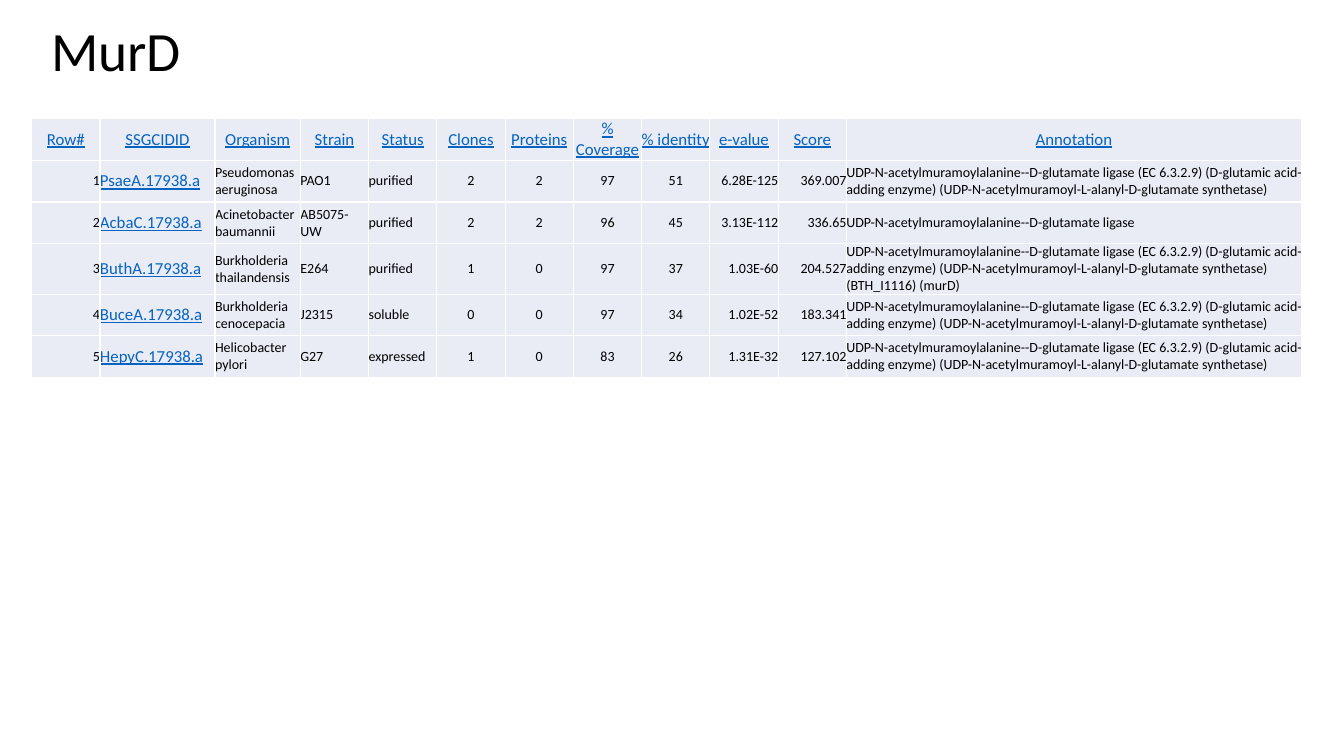
from dataclasses import dataclass

from lxml.etree import SubElement
from pptx import Presentation
from pptx.dml.color import RGBColor
from pptx.enum.text import MSO_ANCHOR, PP_ALIGN
from pptx.oxml.ns import qn
from pptx.util import Cm, Pt


@dataclass(frozen=True)
class Theme:
    font: str = "Calibri"
    text: str = "000000"
    link: str = "0563C1"
    cell_fill: str = "E9EBF5"
    border: str = "FFFFFF"
    title_size: float = 39.6
    link_size: int = 12
    body_size: int = 10
    border_width: int = 1


THEME = Theme()

LEFT, CENTER, RIGHT = PP_ALIGN.LEFT, PP_ALIGN.CENTER, PP_ALIGN.RIGHT
LINK_COLUMN = "SSGCIDID"
COLUMNS = [
    ("Row#", 1.72, RIGHT),
    (LINK_COLUMN, 2.9, LEFT),
    ("Organism", 2.15, LEFT),
    ("Strain", 1.72, LEFT),
    ("Status", 1.72, LEFT),
    ("Clones", 1.72, CENTER),
    ("Proteins", 1.72, CENTER),
    ("% Coverage", 1.72, CENTER),
    ("% identity", 1.72, CENTER),
    ("e-value", 1.72, RIGHT),
    ("Score", 1.72, RIGHT),
    ("Annotation", 11.47, LEFT),
]
ROW_HEIGHT = 1.05

LIGASE = "UDP-N-acetylmuramoylalanine--D-glutamate ligase"
LIGASE_SYNONYMS = (
    f"{LIGASE} (EC 6.3.2.9) (D-glutamic acid-adding enzyme) "
    "(UDP-N-acetylmuramoyl-L-alanyl-D-glutamate synthetase)"
)
TARGETS = [
    ("PsaeA.17938.a", "Pseudomonas aeruginosa", "PAO1", "purified",
     2, 2, 97, 51, "6.28E-125", 369.007, LIGASE_SYNONYMS),
    ("AcbaC.17938.a", "Acinetobacter baumannii", "AB5075-UW", "purified",
     2, 2, 96, 45, "3.13E-112", 336.65, LIGASE),
    ("ButhA.17938.a", "Burkholderia thailandensis", "E264", "purified",
     1, 0, 97, 37, "1.03E-60", 204.527, f"{LIGASE_SYNONYMS} (BTH_I1116) (murD)"),
    ("BuceA.17938.a", "Burkholderia cenocepacia", "J2315", "soluble",
     0, 0, 97, 34, "1.02E-52", 183.341, LIGASE_SYNONYMS),
    ("HepyC.17938.a", "Helicobacter pylori", "G27", "expressed",
     1, 0, 83, 26, "1.31E-32", 127.102, LIGASE_SYNONYMS),
]


def format_text(paragraph, size, color, underline=False):
    for run in paragraph.runs:
        run.font.name = THEME.font
        run.font.size = Pt(size)
        run.font.color.rgb = RGBColor.from_string(color)
        run.font.underline = underline


def add_title(slide, text):
    shape = slide.shapes.add_textbox(Cm(1.04), Cm(0.46), Cm(13.36), Cm(1.78))
    text_frame = shape.text_frame
    text_frame.word_wrap = True
    text_frame.vertical_anchor = MSO_ANCHOR.MIDDLE
    text_frame.text = text
    paragraph = text_frame.paragraphs[0]
    paragraph.line_spacing = 0.9
    format_text(paragraph, THEME.title_size, THEME.text)


def set_borders(cell):
    properties = cell._tc.get_or_add_tcPr()
    for side in ("a:lnL", "a:lnR", "a:lnT", "a:lnB"):
        line = SubElement(properties, qn(side), w=str(Pt(THEME.border_width)))
        fill = SubElement(line, qn("a:solidFill"))
        SubElement(fill, qn("a:srgbClr"), val=THEME.border)


def fill_cell(cell, text, alignment, is_link):
    set_borders(cell)
    cell.fill.solid()
    cell.fill.fore_color.rgb = RGBColor.from_string(THEME.cell_fill)
    cell.margin_left = cell.margin_right = cell.margin_top = cell.margin_bottom = 0
    cell.vertical_anchor = MSO_ANCHOR.MIDDLE
    cell.text_frame.text = text
    paragraph = cell.text_frame.paragraphs[0]
    paragraph.alignment = alignment
    if is_link:
        format_text(paragraph, THEME.link_size, THEME.link, underline=True)
    else:
        format_text(paragraph, THEME.body_size, THEME.text)


def add_target_table(slide):
    row_count = len(TARGETS) + 1
    total_width = sum(width for _, width, _ in COLUMNS)
    table = slide.shapes.add_table(
        row_count, len(COLUMNS), Cm(0.8), Cm(2.99),
        Cm(total_width), Cm(ROW_HEIGHT * row_count),
    ).table
    for row in table.rows:
        row.height = Cm(ROW_HEIGHT)
    for column_index, (heading, width, alignment) in enumerate(COLUMNS):
        table.columns[column_index].width = Cm(width)
        fill_cell(table.cell(0, column_index), heading, CENTER, True)
        for number, target in enumerate(TARGETS, start=1):
            value = (number, *target)[column_index]
            fill_cell(table.cell(number, column_index), str(value),
                      alignment, heading == LINK_COLUMN)


def main():
    presentation = Presentation()
    presentation.slide_width = Cm(33.87)
    presentation.slide_height = Cm(19.05)
    slide = presentation.slides.add_slide(presentation.slide_layouts[6])
    add_title(slide, "MurD")
    add_target_table(slide)
    presentation.save("out.pptx")


main()
